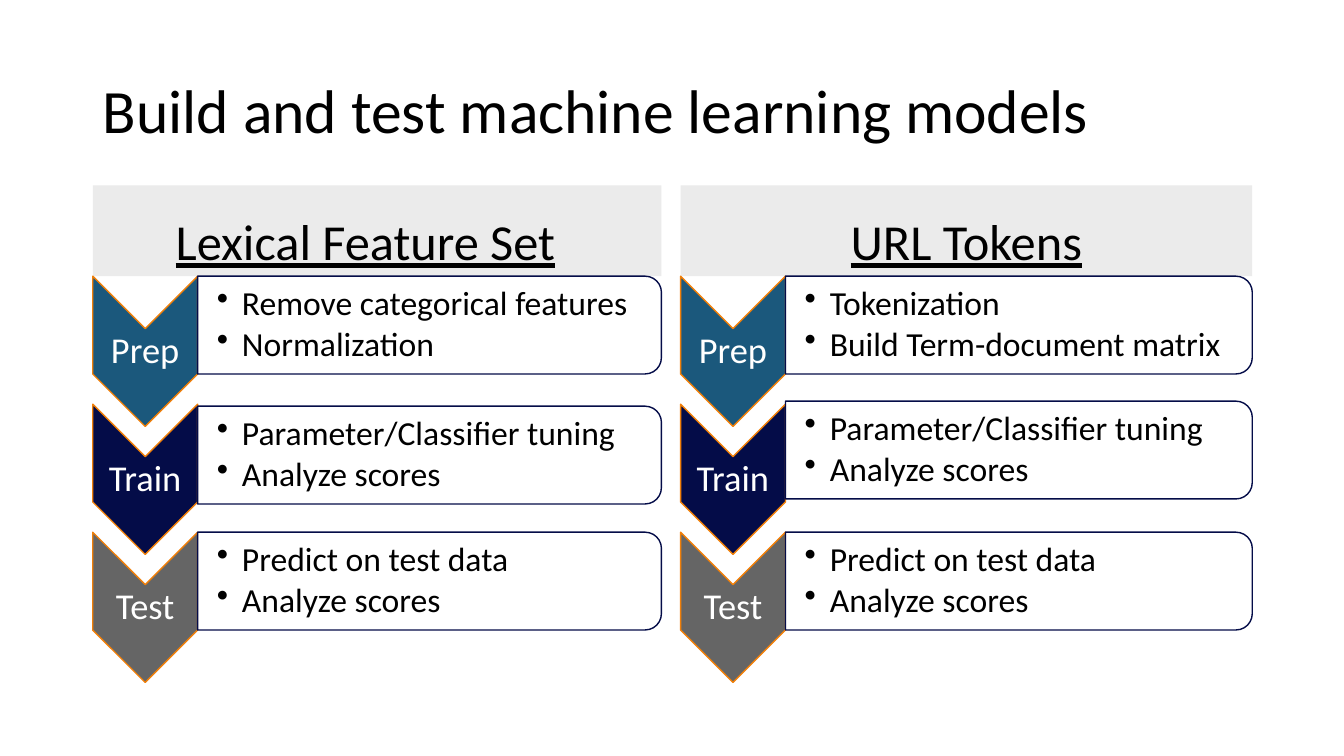
from dataclasses import dataclass

from lxml import etree
from pptx import Presentation
from pptx import util as u
from pptx.dml.color import RGBColor
from pptx.enum import shapes, text
from pptx.oxml import ns

TITLE = "Build and test machine learning models"
STAGES = [("Prep", "1B587C"), ("Train", "040C48"), ("Test", "656565")]
# Card shifts move each card down from the top of its chevron, in px.
COLUMNS = [
    dict(heading="Lexical Feature Set", left=92, width=564, right_inset=33,
         card_shifts=(0, 2, 0),
         cards=[("Remove categorical features", "Normalization"),
                ("Parameter/Classifier tuning", "Analyze scores"),
                ("Predict on test data", "Analyze scores")]),
    dict(heading="URL Tokens", left=675, width=567, right_inset=10,
         card_shifts=(0, -3, 0),
         cards=[("Tokenization", "Build Term-document matrix"),
                ("Parameter/Classifier tuning", "Analyze scores"),
                ("Predict on test data", "Analyze scores")]),
]


@dataclass(frozen=True)
class Theme:
    font: str = "Calibri"
    ink: str = "000000"
    paper: str = "FFFFFF"
    band: str = "EBEBEB"
    chevron_line: str = "F07F09"
    card_line: str = "040C48"
    title_size: int = 44
    heading_size: int = 36
    stage_size: int = 26
    bullet_size: int = 24


THEME = Theme()
PX = u.Inches(1) // 100
SLIDE_SIZE = (1333, 750)
TITLE_BOX = (92, 40, 1150, 145)
HEADING_TOP, HEADING_HEIGHT = 184, 90
FIRST_ROW, ROW_STEP = 274, 127
CHEVRON_WIDTH, CHEVRON_HEIGHT = 104, 149
LABEL_DROP, LABEL_HEIGHT = 52, 45
CARD_HEIGHT, CARD_PADDING = 97, 5
BULLET_INDENT = 25


def emu(*lengths):
    return [round(length * PX) for length in lengths]


def color(code):
    return RGBColor.from_string(code)


def place(shape, box):
    shape.left, shape.top, shape.width, shape.height = emu(*box)


def style(paragraph, size, ink=THEME.ink, align=text.PP_ALIGN.LEFT, after=0):
    paragraph.alignment = align
    paragraph.line_spacing = 0.9
    paragraph.space_after = u.Pt(after)
    font = paragraph.font
    font.name, font.size, font.bold = THEME.font, u.Pt(size), False
    font.color.rgb = color(ink)


def set_frame(frame, anchor, insets):
    frame.word_wrap = True
    frame.auto_size = text.MSO_AUTO_SIZE.NONE
    frame.vertical_anchor = anchor
    (frame.margin_left, frame.margin_top,
     frame.margin_right, frame.margin_bottom) = emu(*insets)


def add_turned(group, kind, box, fill, line):
    """Add a shape turned a quarter clockwise so that it covers box."""
    left, top, width, height = box
    shift = (width - height) / 2
    shape = group.shapes.add_shape(
        kind, *emu(left + shift, top - shift, height, width))
    shape.rotation = 90
    shape.shadow.inherit = False
    shape.fill.solid()
    shape.fill.fore_color.rgb = color(fill)
    shape.line.color.rgb = color(line)
    shape.line.width = u.Pt(1)
    return shape


def add_text(group, box, left_inset):
    frame = group.shapes.add_textbox(*emu(*box)).text_frame
    set_frame(frame, text.MSO_ANCHOR.MIDDLE, (left_inset, 2, 2, 2))
    return frame


def add_bullet(paragraph):
    properties = paragraph._p.get_or_add_pPr()
    properties.set("marL", str(BULLET_INDENT * PX))
    properties.set("indent", str(-BULLET_INDENT * PX))
    etree.SubElement(properties, ns.qn("a:buChar")).set("char", "•")


def add_stage(group, left, top, label, fill):
    add_turned(group, shapes.MSO_SHAPE.CHEVRON,
               (left, top, CHEVRON_WIDTH, CHEVRON_HEIGHT),
               fill, THEME.chevron_line)
    frame = add_text(
        group, (left, top + LABEL_DROP, CHEVRON_WIDTH, LABEL_HEIGHT), 2)
    frame.text = label
    style(frame.paragraphs[0], THEME.stage_size, THEME.paper,
          text.PP_ALIGN.CENTER)


def add_card(group, left, top, width, lines):
    card = add_turned(group, shapes.MSO_SHAPE.ROUND_2_SAME_RECTANGLE,
                      (left, top, width, CARD_HEIGHT),
                      THEME.paper, THEME.card_line)
    fill_color = card._element.spPr.find(
        f"{ns.qn('a:solidFill')}/{ns.qn('a:srgbClr')}")
    etree.SubElement(fill_color, ns.qn("a:alpha")).set("val", "90000")
    frame = add_text(group, (left, top + CARD_PADDING, width - CARD_PADDING,
                             CARD_HEIGHT - 2 * CARD_PADDING), 19)
    frame.text = "\n".join(lines)
    for paragraph in frame.paragraphs:
        add_bullet(paragraph)
        style(paragraph, THEME.bullet_size, after=3)


def fill_heading(placeholder, column):
    place(placeholder, (column["left"], HEADING_TOP,
                        column["width"], HEADING_HEIGHT))
    placeholder.fill.solid()
    placeholder.fill.fore_color.rgb = color(THEME.band)
    frame = placeholder.text_frame
    frame.text = column["heading"]
    set_frame(frame, text.MSO_ANCHOR.BOTTOM,
              (10, 5, column["right_inset"], 5))
    style(frame.paragraphs[0], THEME.heading_size,
          align=text.PP_ALIGN.CENTER)
    frame.paragraphs[0].font.underline = True


def main():
    presentation = Presentation()
    presentation.slide_width, presentation.slide_height = emu(*SLIDE_SIZE)
    slide = presentation.slides.add_slide(
        presentation.slide_layouts.get_by_name("Comparison"))

    title, left_heading, left_body, right_heading, right_body = list(
        slide.placeholders)[:5]
    for body in (left_body, right_body):
        body._element.getparent().remove(body._element)

    place(title, TITLE_BOX)
    title.text_frame.text = TITLE
    set_frame(title.text_frame, text.MSO_ANCHOR.MIDDLE, (10, 5, 10, 5))
    style(title.text_frame.paragraphs[0], THEME.title_size)

    for placeholder, column in zip((left_heading, right_heading), COLUMNS):
        fill_heading(placeholder, column)
        group = slide.shapes.add_group_shape()
        rows = zip(STAGES, column["cards"], column["card_shifts"])
        for row, ((label, fill), lines, shift) in enumerate(rows):
            top = FIRST_ROW + row * ROW_STEP
            add_stage(group, column["left"], top, label, fill)
            add_card(group, column["left"] + CHEVRON_WIDTH, top + shift,
                     column["width"] - CHEVRON_WIDTH, lines)

    presentation.save("out.pptx")


if __name__ == "__main__":
    main()
